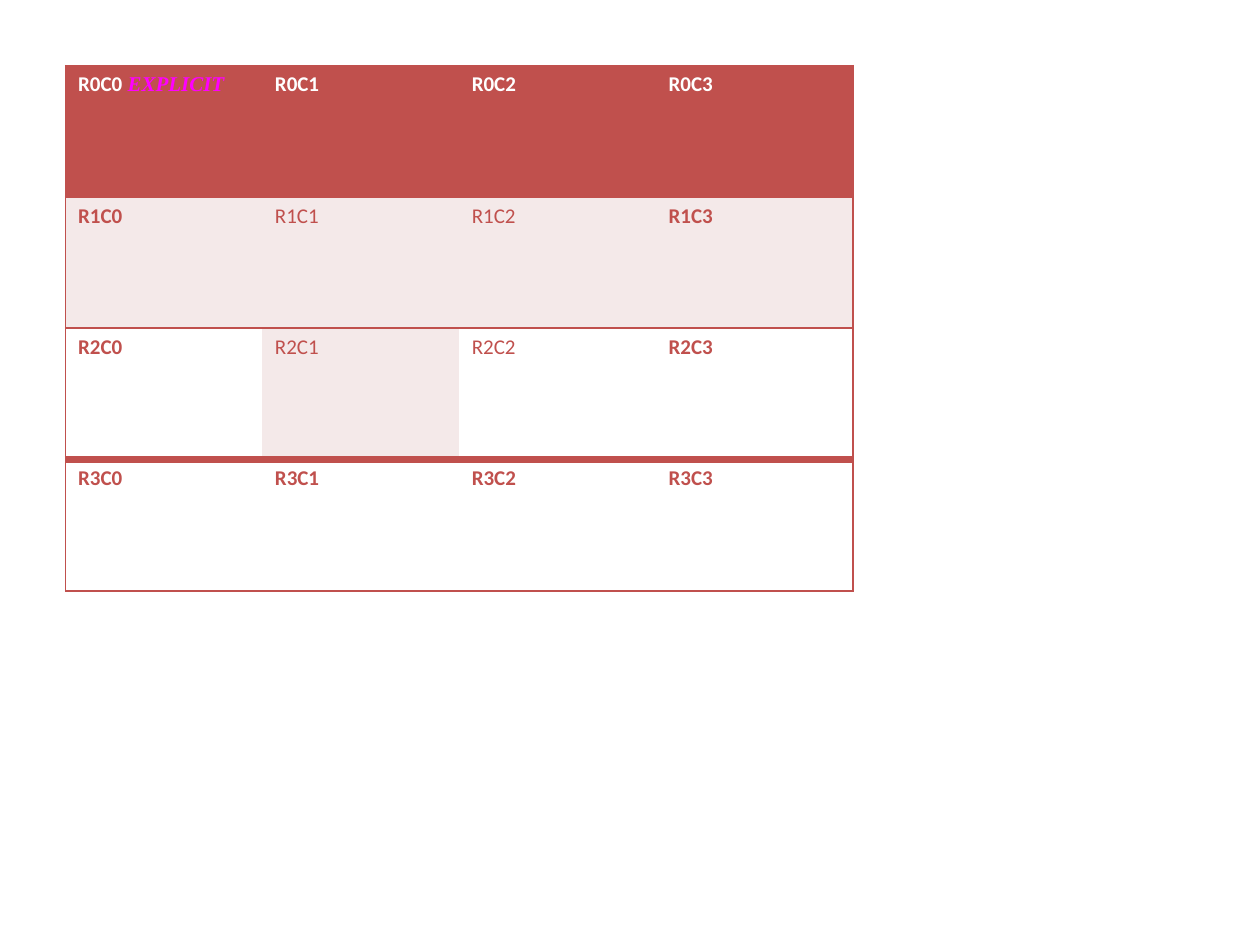
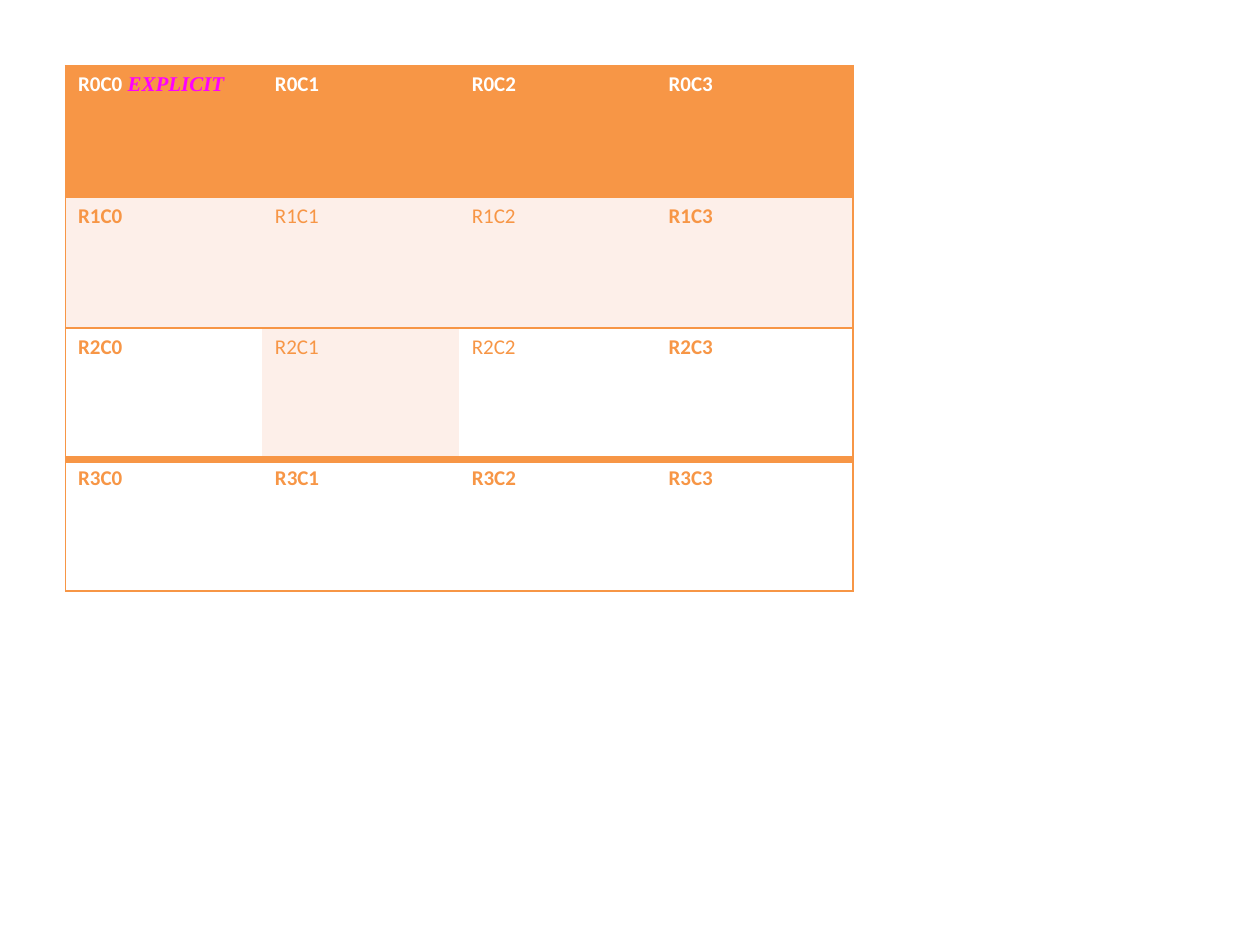
from lxml.etree import SubElement
from pptx import Presentation
from pptx.dml.color import RGBColor
from pptx.oxml.ns import qn
from pptx.util import Inches, Pt

WHITE = RGBColor(0xFF, 0xFF, 0xFF)
PINK = RGBColor(0xFF, 0x00, 0xFF)
RED = RGBColor(0xC0, 0x50, 0x4D)
ROSE = RGBColor(0xF4, 0xE9, 0xE9)
ORANGE = RGBColor(0xF7, 0x96, 0x46)
PEACH = RGBColor(0xFD, 0xEF, 0xE9)
THEMES = [(RED, ROSE), (ORANGE, PEACH)]

COUNT = 4
LAST = COUNT - 1
LEFT = TOP = Inches(0.52)
WIDTH, HEIGHT = Inches(6.25), Inches(4.17)
THIN, THICK = 1, 4


def add_edge(cell, side, color, width):
    props = cell._tc.get_or_add_tcPr()
    line = SubElement(props, qn(f"a:ln{side}"), w=str(Pt(width)))
    if width:
        fill = SubElement(line, qn("a:solidFill"))
        SubElement(fill, qn("a:srgbClr"), val=str(color))
    else:
        SubElement(line, qn("a:noFill"))


def add_edges(cell, row, col, color):
    widths = {
        "L": THIN if col == 0 else 0,
        "R": THIN if col == LAST else 0,
        "T": THICK if row == LAST else THIN,
        "B": THICK if row == LAST - 1 else THIN,
    }
    for side, width in widths.items():
        add_edge(cell, side, color, width)


def pick_fill(row, col, main, tint):
    if row == 0:
        return main
    if row == 1 or (row, col) == (2, 1):
        return tint
    return WHITE


def set_text(cell, row, col, main):
    para = cell.text_frame.paragraphs[0]
    para.text = f"R{row}C{col}"
    font = para.font
    font.name = "Calibri"
    font.size = Pt(12)
    font.bold = row in (0, LAST) or col in (0, LAST)
    font.color.rgb = WHITE if row == 0 else main
    for run in para.runs:
        run.font.bold = font.bold
        run.font.color.rgb = font.color.rgb
    return para


def add_note(para, text):
    run = para.add_run()
    run.text = text
    run.font.name = "Times New Roman"
    run.font.bold = run.font.italic = True
    run.font.color.rgb = PINK


def add_grid(slide, main, tint):
    frame = slide.shapes.add_table(COUNT, COUNT, LEFT, TOP, WIDTH, HEIGHT)
    table = frame.table
    table.horz_banding = False
    for row in range(COUNT):
        for col in range(COUNT):
            cell = table.cell(row, col)
            add_edges(cell, row, col, main)
            cell.fill.solid()
            cell.fill.fore_color.rgb = pick_fill(row, col, main, tint)
            para = set_text(cell, row, col, main)
            if row == col == 0:
                add_note(para, " EXPLICIT")


def main():
    deck = Presentation()
    deck.slide_width, deck.slide_height = Inches(10), Inches(7.5)
    for color, tint in THEMES:
        slide = deck.slides.add_slide(deck.slide_layouts[6])
        add_grid(slide, color, tint)
    deck.save("out.pptx")


if __name__ == "__main__":
    main()
